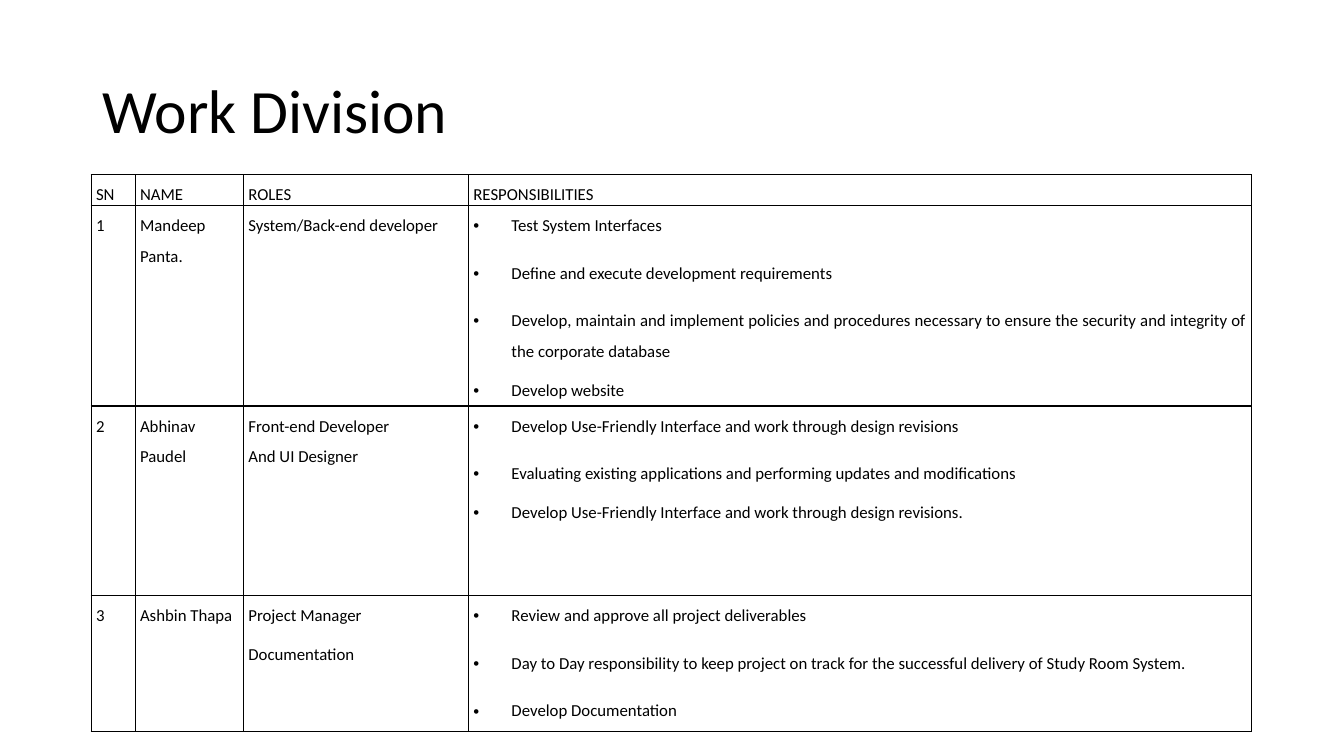
from lxml import etree
from pptx import Presentation
from pptx.dml.color import RGBColor
from pptx.enum.text import MSO_ANCHOR, PP_ALIGN
from pptx.oxml.ns import qn
from pptx.util import Cm, Pt

JUSTIFY = PP_ALIGN.JUSTIFY
MIDDLE = MSO_ANCHOR.MIDDLE
BLACK = RGBColor(0, 0, 0)
FONT = "Calibri"

TITLE = "Work Division"
HEADINGS = ["SN", "NAME", "ROLES", "RESPONSIBILITIES"]
MEMBERS = [
    {
        "name": "Mandeep Panta.",
        "roles": ["System/Back-end developer"],
        "spaced_roles": 0,
        "duties": [
            "Test System Interfaces",
            "Define and execute development requirements",
            "Develop, maintain and implement policies and procedures necessary "
            "to ensure the security and integrity of the corporate database",
            "Develop website",
        ],
        "spaced_duties": 3,
    },
    {
        "name": "Abhinav Paudel",
        "roles": ["Front-end Developer", "And UI Designer"],
        "spaced_roles": 0,
        "duties": [
            "Develop Use-Friendly Interface and work through design revisions",
            "Evaluating existing applications and performing updates and modifications",
            "Develop Use-Friendly Interface and work through design revisions.",
        ],
        "spaced_duties": 2,
    },
    {
        "name": "Ashbin Thapa",
        "roles": ["Project Manager", "Documentation"],
        "spaced_roles": 1,
        "duties": [
            "Review and approve all project deliverables",
            "Day to Day responsibility to keep project on track for the "
            "successful delivery of Study Room System.",
            "Develop Documentation",
        ],
        "spaced_duties": 3,
    },
]
COLUMN_WIDTHS = [Cm(1.11), Cm(2.73), Cm(5.67), Cm(19.73)]
ROW_HEIGHTS = [Cm(0.78), Cm(5.05), Cm(4.78), Cm(3.43)]
BULLET_INDENT = Cm(0.96)


def style_font(paragraph, size):
    for run in paragraph.runs:
        run.font.name = FONT
        run.font.size = Pt(size)
        run.font.color.rgb = BLACK


def add_bullet(paragraph):
    properties = paragraph._p.get_or_add_pPr()
    properties.set("marL", str(BULLET_INDENT))
    properties.set("indent", str(-BULLET_INDENT))
    etree.SubElement(properties, qn("a:buFont")).set("typeface", "Arial")
    etree.SubElement(properties, qn("a:buChar")).set("char", "•")


def draw_borders(cell):
    properties = cell._tc.get_or_add_tcPr()
    for side in ("lnL", "lnR", "lnT", "lnB"):
        line = etree.SubElement(properties, qn("a:" + side), w=str(Pt(1)))
        fill = etree.SubElement(line, qn("a:solidFill"))
        etree.SubElement(fill, qn("a:srgbClr"), val=str(BLACK))


def fill_cell(cell, lines, spaced=0, bulleted=False):
    draw_borders(cell)
    cell.fill.background()
    cell.margin_left = cell.margin_right = Cm(0.12)
    cell.margin_top = cell.margin_bottom = 0
    cell.text_frame.text = "\n".join(lines)
    for position, paragraph in enumerate(cell.text_frame.paragraphs):
        paragraph.alignment = JUSTIFY
        paragraph.line_spacing = 1.5
        gap = Pt(6) if position < spaced else Pt(0)
        paragraph.space_before = paragraph.space_after = gap
        if bulleted:
            add_bullet(paragraph)
        style_font(paragraph, 12)


deck = Presentation()
deck.slide_width, deck.slide_height = Cm(33.87), Cm(19.05)
slide = deck.slides.add_slide(deck.slide_layouts[6])

heading = slide.shapes.add_textbox(Cm(2.33), Cm(1.01), Cm(29.21), Cm(3.68)).text_frame
heading.word_wrap = True
heading.vertical_anchor = MIDDLE
heading.text = TITLE
heading.paragraphs[0].line_spacing = 0.9
style_font(heading.paragraphs[0], 44)

division = slide.shapes.add_table(
    len(ROW_HEIGHTS), len(COLUMN_WIDTHS), Cm(2.3), Cm(4.4),
    sum(COLUMN_WIDTHS), sum(ROW_HEIGHTS),
).table
division.first_row = division.horz_banding = False
for column, width in zip(division.columns, COLUMN_WIDTHS):
    column.width = width
for row, height in zip(division.rows, ROW_HEIGHTS):
    row.height = height

for column, label in enumerate(HEADINGS):
    fill_cell(division.cell(0, column), [label])
for number, member in enumerate(MEMBERS, 1):
    fill_cell(division.cell(number, 0), [str(number)])
    fill_cell(division.cell(number, 1), [member["name"]])
    fill_cell(division.cell(number, 2), member["roles"], member["spaced_roles"])
    fill_cell(division.cell(number, 3), member["duties"], member["spaced_duties"], True)

deck.save("out.pptx")
